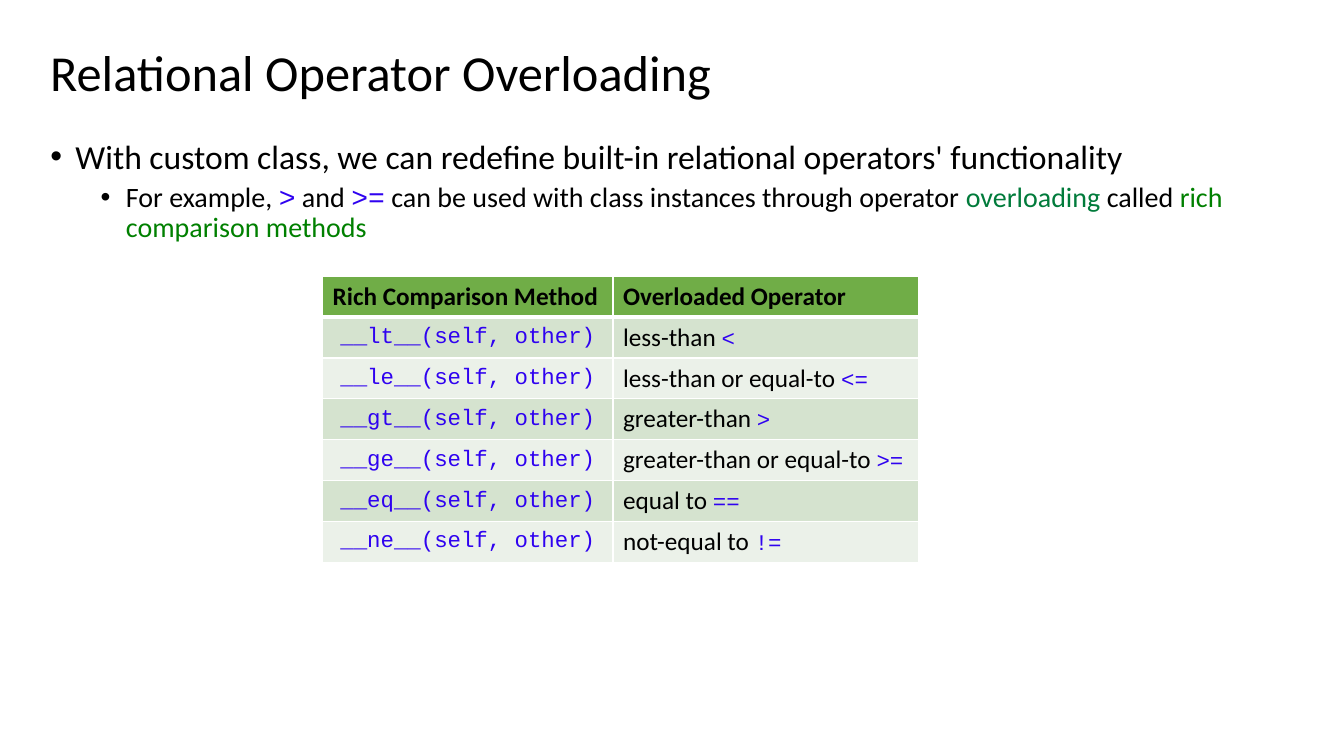
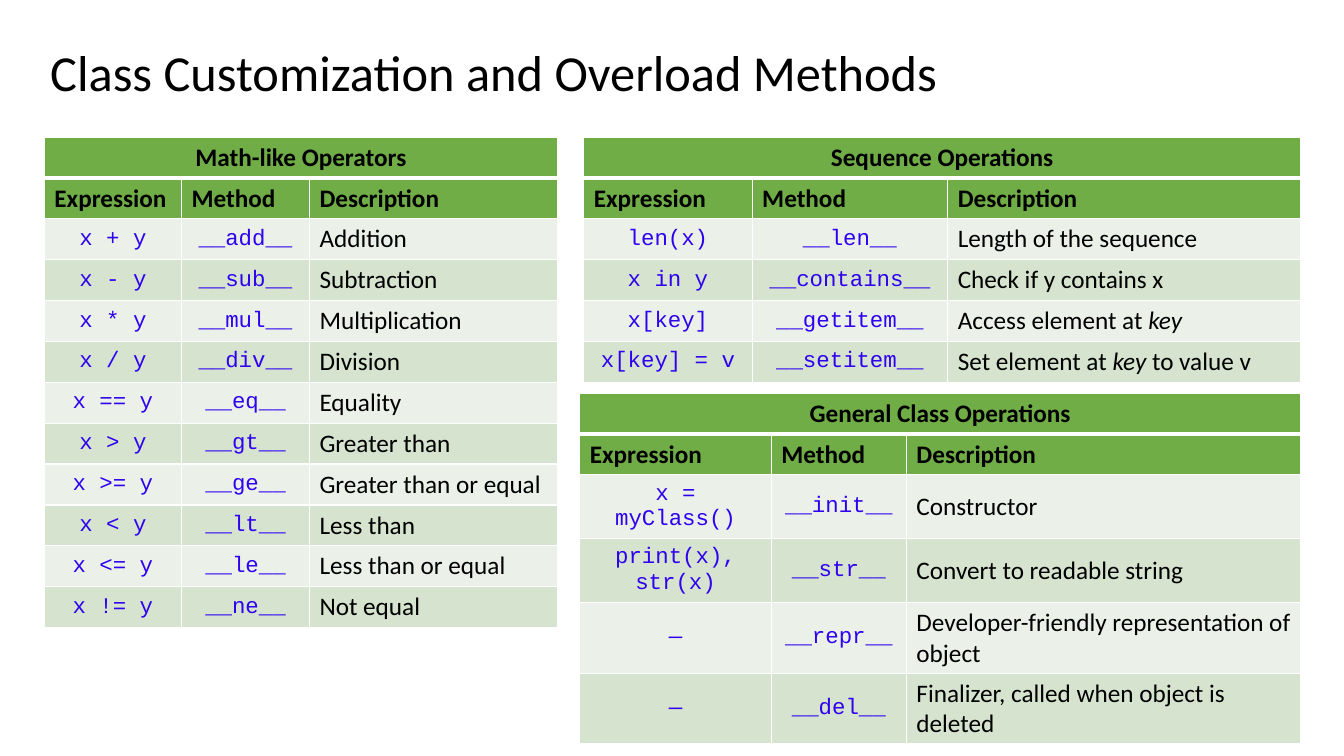
import pptx
import pptx.dml.color
import pptx.enum.text
import pptx.oxml
import pptx.oxml.ns
import pptx.util
from pptx.util import Inches

# Shared look
BLACK, WHITE, CODE_BLUE = "000000", "FFFFFF", "2F02F0"
TEAL, GREEN = "017B3B", "008000"
HEADER, BAND_DARK, BAND_LIGHT = "70AD47", "D5E3CF", "EBF1E9"
BODY_FONT, CODE_FONT = "Calibri", "Courier New"
ROW_HEIGHT = pptx.util.Pt(29.2)
TITLE_BOX = (0.4, 0.24, 11.5, 1.02)
CENTER = pptx.enum.text.PP_ALIGN.CENTER
LEFT = pptx.enum.text.PP_ALIGN.LEFT
MIDDLE = pptx.enum.text.MSO_ANCHOR.MIDDLE
CODE = dict(size=16, font=CODE_FONT, color=CODE_BLUE)
COLUMN_HEADS = ("Expression", "Method", "Description")


def paint(color_format, hex_color):
    color_format.rgb = pptx.dml.color.RGBColor.from_string(hex_color)


def add_span(para, text, size=18, font=BODY_FONT, color=BLACK, bold=False, italic=False):
    span = para.add_run()
    span.text = text
    span.font.size = pptx.util.Pt(size)
    span.font.name = font
    span.font.bold = bold
    span.font.italic = italic
    paint(span.font.color, color)


def add_text_box(page, box):
    frame = page.shapes.add_textbox(*map(Inches, box)).text_frame
    frame.word_wrap = True
    return frame


def add_title(page, text):
    frame = add_text_box(page, TITLE_BOX)
    frame.vertical_anchor = MIDDLE
    frame.paragraphs[0].line_spacing = 0.9
    add_span(frame.paragraphs[0], text, size=36)


def format_bullet(para, level, space_before):
    para.level = level
    para.line_spacing = 0.9
    para.space_before = pptx.util.Pt(space_before)
    props = para._p.get_or_add_pPr()
    props.set("marL", str(Inches(0.25 + 0.5 * level)))
    props.set("indent", str(Inches(-0.25)))
    for tag, name, value in (("buFont", "typeface", "Arial"), ("buChar", "char", "•")):
        mark = pptx.oxml.parse_xml(f"<a:{tag} {pptx.oxml.ns.nsdecls('a')}/>")
        mark.set(name, value)
        props.append(mark)


def add_bullets(page, box):
    frame = add_text_box(page, box)
    main = frame.paragraphs[0]
    format_bullet(main, 0, 10)
    add_span(main, "With custom class, we can redefine built-in relational operators' functionality", size=24)

    detail = frame.add_paragraph()
    format_bullet(detail, 1, 5)
    operator = dict(font=CODE_FONT, color=CODE_BLUE)
    for text, style in (
        ("For example, ", {}), (">", operator), (" and ", {}), (">=", operator),
        (" can be used with class instances through operator ", {}),
        ("overloading", dict(color=TEAL)), (" called ", {}),
        ("rich comparison methods", dict(color=GREEN)),
    ):
        add_span(detail, text, size=20, **style)


def set_borders(cell, **widths):
    props = cell._tc.get_or_add_tcPr()
    for side in ("L", "R", "T", "B"):
        width = pptx.util.Pt(widths.get(side, 1))
        props.append(pptx.oxml.parse_xml(
            f'<a:ln{side} {pptx.oxml.ns.nsdecls("a")} w="{width}"><a:solidFill>'
            f'<a:srgbClr val="{WHITE}"/></a:solidFill></a:ln{side}>'))


def fill_cell(cell, row, spans, fill, align):
    # The rule below the first row is heavier
    set_borders(cell, B=3 if row == 0 else 1, T=3 if row == 1 else 1)
    cell.fill.solid()
    paint(cell.fill.fore_color, fill)
    cell.vertical_anchor = MIDDLE
    para = cell.text_frame.paragraphs[0]
    para.alignment = align
    for text, style in spans:
        add_span(para, text, **style)


def add_method_table(page, left, top, widths, heads, rows, caption=None):
    """Code columns are centred; the last column holds prose spans."""
    head_rows = ([(caption,) + ("",) * (len(widths) - 1)] if caption else []) + [heads]
    table = page.shapes.add_table(
        len(head_rows) + len(rows), len(widths), Inches(left), Inches(top),
        Inches(sum(widths)), ROW_HEIGHT * (len(head_rows) + len(rows))).table
    table.first_row = table.horz_banding = False
    for column, width in zip(table.columns, widths):
        column.width = Inches(width)
    for table_row in table.rows:
        table_row.height = ROW_HEIGHT

    # Header rows
    for row, texts in enumerate(head_rows):
        align = CENTER if caption and row == 0 else LEFT
        for col, text in enumerate(texts):
            spans = [(text, dict(bold=True))] if text else []
            fill_cell(table.cell(row, col), row, spans, HEADER, align)
    if caption:
        table.cell(0, 0).merge(table.cell(0, len(widths) - 1))

    # Banded rows
    for row, (*codes, prose) in enumerate(rows, len(head_rows)):
        fill = BAND_DARK if row % 2 else BAND_LIGHT
        for col, code in enumerate(codes):
            fill_cell(table.cell(row, col), row, [(code, CODE)], fill, CENTER)
        spans = [(prose, {})] if isinstance(prose, str) else prose
        fill_cell(table.cell(row, len(codes)), row, spans, fill, LEFT)


def build_relational_page(page):
    add_title(page, "Relational Operator Overloading")
    add_bullets(page, (0.4, 1.34, 12.01, 5.45))
    comparisons = (
        ("lt", "less-than ", "<"),
        ("le", "less-than or equal-to ", "<="),
        ("gt", "greater-than ", ">"),
        ("ge", "greater-than or equal-to ", ">="),
        ("eq", "equal to ", "=="),
        ("ne", "not-equal to ", "!="),
    )
    rows = [(f"__{name}__(self, other)", [(words, {}), (symbol, CODE)])
            for name, words, symbol in comparisons]
    add_method_table(page, 3.2, 2.74, (2.88, 3.03),
                     ("Rich Comparison Method", "Overloaded Operator"), rows)


def build_customization_page(page):
    add_title(page, "Class Customization and Overload Methods")
    math_like = (
        ("+", "add", "Addition"),
        ("-", "sub", "Subtraction"),
        ("*", "mul", "Multiplication"),
        ("/", "div", "Division"),
        ("==", "eq", "Equality"),
        (">", "gt", "Greater than"),
        (">=", "ge", "Greater than or equal"),
        ("<", "lt", "Less than"),
        ("<=", "le", "Less than or equal"),
        ("!=", "ne", "Not equal"),
    )
    math_rows = [(f"x {symbol} y", f"__{name}__", words) for symbol, name, words in math_like]
    key = ("key", dict(italic=True))
    sequence_rows = (
        ("len(x)", "__len__", "Length of the sequence"),
        ("x in y", "__contains__", "Check if y contains x"),
        ("x[key]", "__getitem__", [("Access element at ", {}), key]),
        ("x[key] = v", "__setitem__", [("Set element at ", {}), key, (" to value v", {})]),
    )
    general_rows = (
        ("x = myClass()", "__init__", "Constructor"),
        ("print(x), str(x)", "__str__", "Convert to readable string"),
        ("—", "__repr__", "Developer-friendly representation of object"),
        ("—", "__del__", "Finalizer, called when object is deleted"),
    )
    for left, top, widths, caption, rows in (
        (0.44, 1.36, (1.36, 1.27, 2.46), "Math-like Operators", math_rows),
        (5.79, 1.36, (1.67, 1.94, 3.5), "Sequence Operations", sequence_rows),
        (5.75, 3.9, (1.9, 1.34, 3.91), "General Class Operations", general_rows),
    ):
        add_method_table(page, left, top, widths, COLUMN_HEADS, rows, caption)


def main():
    deck = pptx.Presentation()
    deck.slide_width, deck.slide_height = Inches(13.33), Inches(7.5)
    for build in (build_relational_page, build_customization_page):
        build(deck.slides.add_slide(deck.slide_layouts[6]))
    deck.save("out.pptx")


if __name__ == "__main__":
    main()
